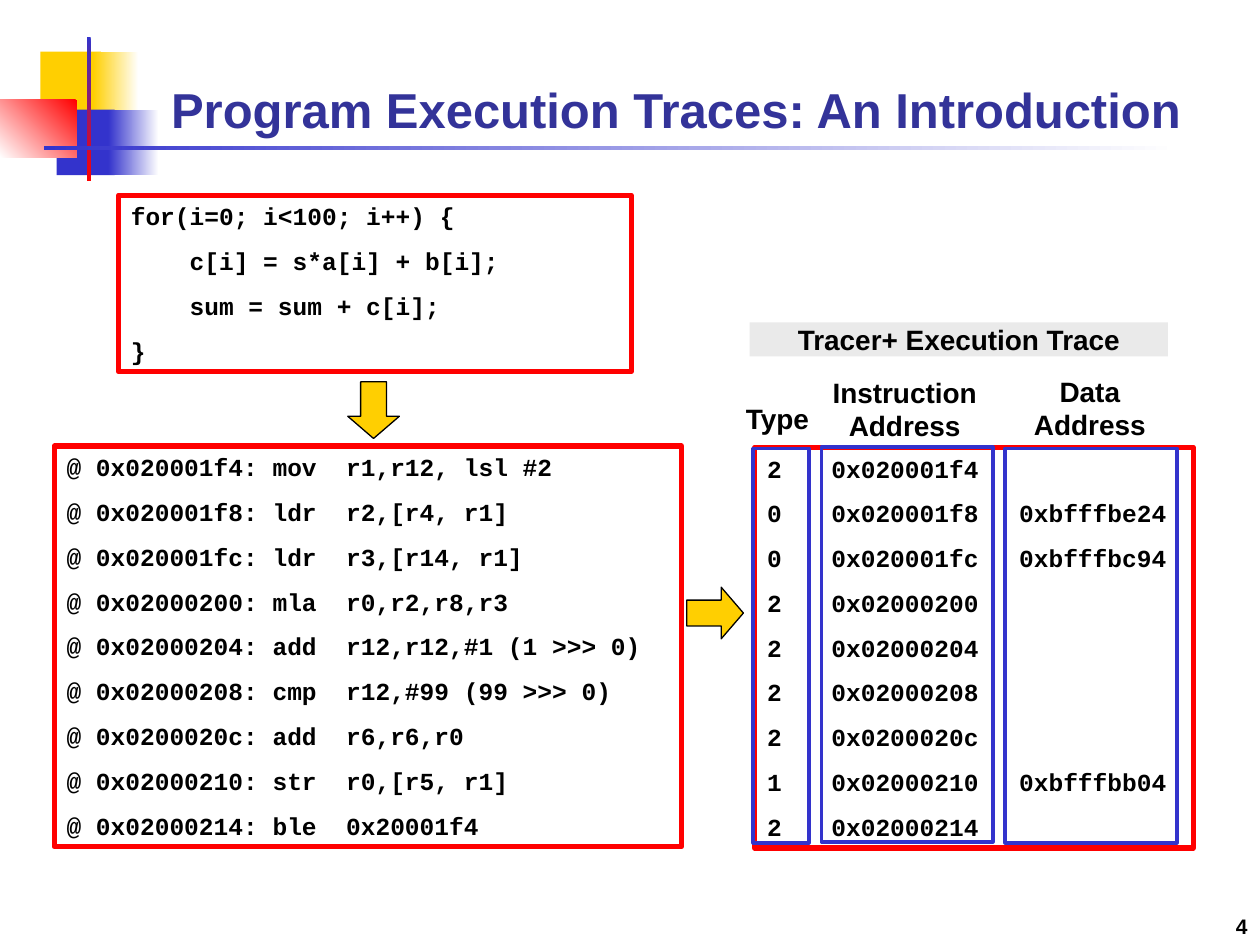
from dataclasses import dataclass
from typing import Optional

from lxml.etree import SubElement
from pptx import Presentation
from pptx.dml.color import RGBColor
from pptx.enum.shapes import MSO_SHAPE
from pptx.enum.text import MSO_ANCHOR, PP_ALIGN
from pptx.oxml.ns import qn
from pptx.util import Inches, Pt

COLORS = {
    "yellow": "FFCF01",
    "blue": "3333CC",
    "red": "FF0000",
    "white": "FFFFFF",
    "black": "000000",
    "navy": "333399",
    "gray": "EAEAEA",
}


@dataclass
class Frame:
    left: float
    top: float
    width: float
    height: float

    def lengths(self) -> list:
        return [Inches(n) for n in (self.left, self.top, self.width, self.height)]


@dataclass
class Gradient:
    start: str
    end: str
    angle: int


@dataclass
class TextStyle:
    size: float
    font: str = "Arial"
    color: str = "black"
    align: PP_ALIGN = PP_ALIGN.LEFT
    anchor: MSO_ANCHOR = MSO_ANCHOR.TOP
    before: float = 0
    inset: tuple = (0.1, 0.05)
    tabs: tuple = ()


HEADING = TextStyle(16, align=PP_ALIGN.CENTER, before=10, inset=(0, 0))
CODE = TextStyle(14, "Courier New", before=8.8)
TRACE = TextStyle(14, "Courier New", before=8.8, tabs=(0.51, 2))
TITLE = TextStyle(28, color="navy", anchor=MSO_ANCHOR.BOTTOM)
NUMBER = TextStyle(12, align=PP_ALIGN.RIGHT, anchor=MSO_ANCHOR.BOTTOM)

DECORATION = [
    (Frame(0.32, 0.41, 0.48, 0.52), "yellow"),
    (Frame(0.74, 0.41, 0.36, 0.52), Gradient("white", "yellow", 180)),
    (Frame(0.45, 0.87, 0.46, 0.52), "blue"),
    (Frame(0.86, 0.87, 0.4, 0.52), Gradient("white", "blue", 180)),
    (Frame(0, 0.79, 0.61, 0.46), Gradient("red", "white", 225)),
    (Frame(0.69, 0.29, 0.03, 1.15), Gradient("blue", "red", 270)),
    (Frame(0.35, 1.16, 9, 0.03), Gradient("white", "blue", 180)),
]

LOOP = [
    "for(i=0; i<100; i++) {",
    "    c[i] = s*a[i] + b[i];",
    "    sum = sum + c[i];",
    "}",
]

INSTRUCTIONS = [
    ("2", "0x020001f4", "mov  r1,r12, lsl #2", ""),
    ("0", "0x020001f8", "ldr  r2,[r4, r1]", "0xbfffbe24"),
    ("0", "0x020001fc", "ldr  r3,[r14, r1]", "0xbfffbc94"),
    ("2", "0x02000200", "mla  r0,r2,r8,r3", ""),
    ("2", "0x02000204", "add  r12,r12,#1 (1 >>> 0)", ""),
    ("2", "0x02000208", "cmp  r12,#99 (99 >>> 0)", ""),
    ("2", "0x0200020c", "add  r6,r6,r0", ""),
    ("1", "0x02000210", "str  r0,[r5, r1]", "0xbfffbb04"),
    ("2", "0x02000214", "ble  0x20001f4", ""),
]

COLUMN_FRAMES = [
    Frame(5.98, 3.56, 0.44, 3.13),
    Frame(6.52, 3.55, 1.36, 3.13),
    Frame(7.98, 3.56, 1.36, 3.13),
]

COLUMN_HEADINGS = [
    (Frame(6.52, 2.98, 1.32, 0.53), "Instruction\vAddress"),
    (Frame(7.98, 2.97, 1.34, 0.53), "Data\vAddress"),
    (Frame(5.85, 3.19, 0.64, 0.27), "Type"),
]


def rgb(name: str) -> RGBColor:
    return RGBColor.from_string(COLORS[name])


def draw_shape(page, frame: Frame, fill=None, line: Optional[str] = None,
               weight: float = 0, kind=MSO_SHAPE.RECTANGLE):
    shape = page.shapes.add_shape(kind, *frame.lengths())
    shape.shadow.inherit = False
    if isinstance(fill, Gradient):
        shape.fill.gradient()
        shape.fill.gradient_angle = fill.angle
        for stop, color in zip(shape.fill.gradient_stops, (fill.start, fill.end)):
            stop.color.rgb = rgb(color)
    elif fill:
        shape.fill.solid()
        shape.fill.fore_color.rgb = rgb(fill)
    else:
        shape.fill.background()
    if line:
        shape.line.color.rgb = rgb(line)
        shape.line.width = Pt(weight)
    else:
        shape.line.fill.background()
    return shape


def write_text(box, text: str, style: TextStyle) -> None:
    text_frame = box.text_frame
    text_frame.word_wrap = True
    text_frame.vertical_anchor = style.anchor
    text_frame.margin_left = text_frame.margin_right = Inches(style.inset[0])
    text_frame.margin_top = text_frame.margin_bottom = Inches(style.inset[1])
    text_frame.text = text
    for para in text_frame.paragraphs:
        para.alignment = style.align
        para.space_before = Pt(style.before)
        if style.tabs:
            tab_list = SubElement(para._p.get_or_add_pPr(), qn("a:tabLst"))
            for position in style.tabs:
                SubElement(tab_list, qn("a:tab"), pos=str(Inches(position)), algn="l")
        for span in para.runs:
            span.font.size = Pt(style.size)
            span.font.name = style.font
            span.font.bold = True
            span.font.color.rgb = rgb(style.color)


def draw_text(page, frame: Frame, text: str, style: TextStyle) -> None:
    write_text(page.shapes.add_textbox(*frame.lengths()), text, style)


def draw_listing(page, frame: Frame, lines: list, style: TextStyle) -> None:
    write_text(draw_shape(page, frame, line="red", weight=3), "\n".join(lines), style)


def draw_arrow(page, frame: Frame, rotation: float) -> None:
    arrow = draw_shape(page, frame, "yellow", "black", 0.75, MSO_SHAPE.DOWN_ARROW)
    arrow.adjustments[0] = 0.5
    arrow.adjustments[1] = 0.43
    arrow.rotation = rotation


def main() -> None:
    deck = Presentation()
    deck.slide_width, deck.slide_height = Inches(10), Inches(7.5)
    page = deck.slides.add_slide(deck.slide_layouts[6])

    for frame, fill in DECORATION:
        draw_shape(page, frame, fill)
    draw_text(page, Frame(1.26, 0.17, 8.52, 0.98),
              "Program Execution Traces: An Introduction", TITLE)

    trace = ["\t".join(filter(None, (kind, address, data)))
             for kind, address, _, data in INSTRUCTIONS]
    assembly = [f"@ {address}: {code}" for _, address, code, _ in INSTRUCTIONS]
    draw_listing(page, Frame(0.94, 1.55, 4.07, 1.4), LOOP, CODE)
    draw_listing(page, Frame(5.99, 3.55, 3.48, 3.18), trace, TRACE)
    draw_listing(page, Frame(0.43, 3.54, 4.98, 3.18), assembly, CODE)

    for frame in COLUMN_FRAMES:
        draw_shape(page, frame, line="blue", weight=2.25)
    draw_arrow(page, Frame(2.76, 3.03, 0.41, 0.45), 0)
    draw_arrow(page, Frame(5.47, 4.64, 0.41, 0.45), 270)

    for frame, heading in COLUMN_HEADINGS:
        draw_text(page, frame, heading, HEADING)
    banner = draw_shape(page, Frame(5.95, 2.56, 3.32, 0.27), "gray")
    write_text(banner, "Tracer+ Execution Trace", HEADING)
    draw_text(page, Frame(7.92, 7, 2.08, 0.5), "4", NUMBER)

    deck.save("out.pptx")


if __name__ == "__main__":
    main()
